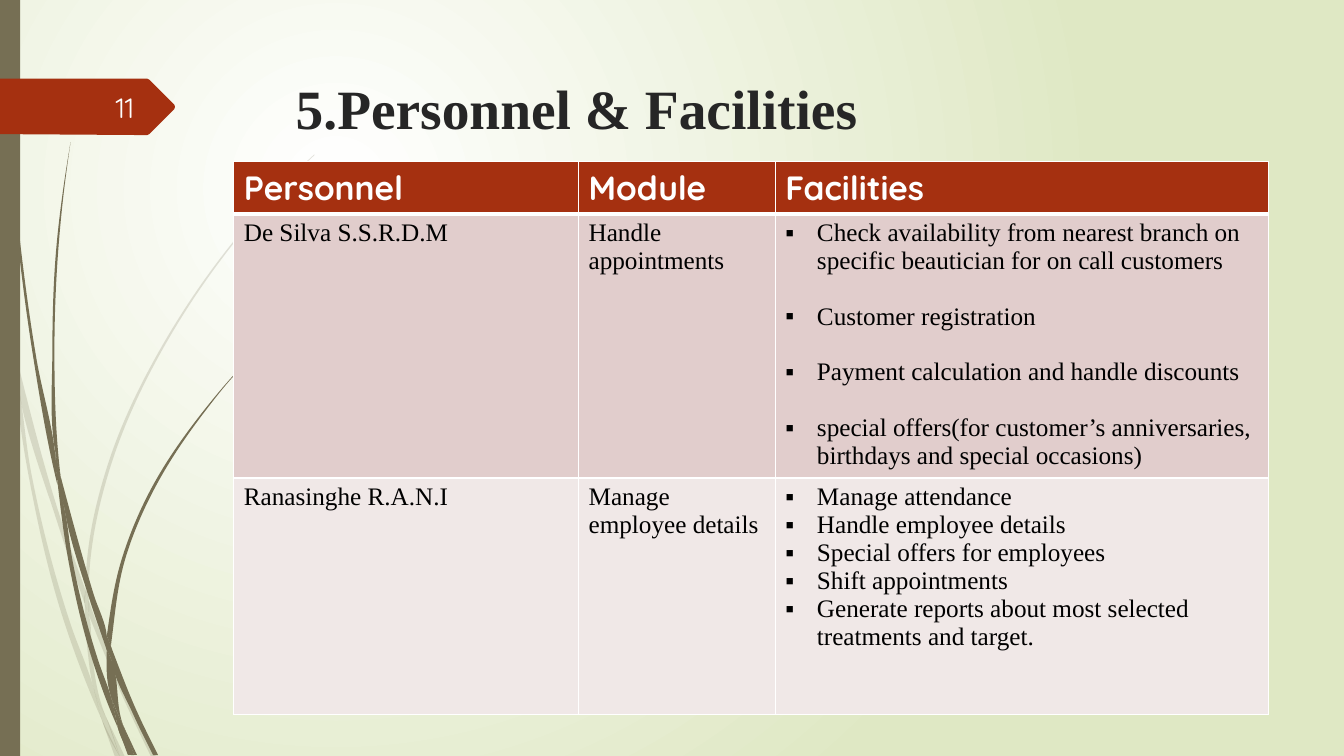
"""Build the "Personnel & Facilities" slide: a staff table beside grass blades."""
from dataclasses import dataclass

from lxml import etree
from pptx import Presentation
from pptx import util as u
from pptx.dml import color
from pptx.enum import shapes, text
from pptx.oxml import ns

SERIF, SANS = "Times New Roman", "Quicksand"
OLIVE, RUST, WHITE = "766F54", "A53010", "FFFFFF"
INDENT = 22.5
Point = tuple[float, float]


@dataclass
class Blade:
    """A grass blade between two edges, each running from top to bottom."""
    right: list[Point]
    left: list[Point]


@dataclass
class Row:
    """One table row with the look shared by its cells."""
    height: float
    fill: str
    person: str
    module: str
    facilities: list[str]
    gap: float = 0


PALE_BLADES = [
    Blade([(0, 203), (6.5, 231.8), (7.9, 252)], [(0, 215.3), (7.2, 247.7), (7.9, 252)]),
    Blade([(10.1, 248.4), (44.6, 374.4), (61.2, 421.9)],
          [(10.1, 248.4), (12.2, 270.7), (41.8, 375.8), (60.5, 431.3)]),
    Blade([(63.4, 429.1), (66.2, 437), (91.4, 498.2), (111.6, 540.7)],
          [(63.4, 439.2), (88.6, 499.7), (108, 540.7)]),
    Blade([(75.6, 511.9), (89.3, 540.7)], [(75.6, 511.9), (85.7, 540.7)]),
    Blade([(7.9, 252), (12.2, 270.7), (22.3, 337.7), (50.4, 445.7), (67, 491.8),
           (71.3, 509), (72.7, 514.1)],
          [(7.9, 252), (20.2, 338.4), (46.8, 447.1), (66.2, 499), (72.7, 514.1)]),
    Blade([(60.5, 431.3), (63.4, 439.2), (65.5, 465.1), (74.2, 508.3), (75.6, 511.9)],
          [(60.5, 431.3), (62.6, 465.1), (67, 491.8), (69.1, 498.2), (75.6, 511.9)]),
    Blade([(224.6, 110.9), (208.8, 126), (193, 142.6), (164.9, 176.4), (115.2, 251.3),
           (79.2, 332.6), (63.4, 420.5), (63.4, 429.1)],
          [(224.6, 110.2), (208.1, 126), (193, 141.8), (164.2, 175.7), (113.8, 250.6),
           (77, 331.9), (61.2, 420.5), (61.2, 421.9)]),
    Blade([(72.7, 514.1), (85.7, 540.7)], [(72.7, 514.1), (82.1, 540.7)]),
    Blade([(61.2, 421.9), (63.4, 429.1), (63.4, 439.2)],
          [(61.2, 421.9), (60.5, 431.3), (63.4, 437.8)]),
    Blade([(67, 491.8), (69.1, 498.2), (75.6, 511.9), (85.7, 540.7)],
          [(67, 491.8), (71.3, 509), (72.7, 514.1), (85.7, 540.7)]),
]
DARK_BLADES = [
    Blade([(2.9, 0), (3.6, 34.6), (5.8, 78.5), (13.7, 167), (25.9, 255.6),
           (39.6, 326.2), (41, 346.3)],
          [(2.2, 0), (2.9, 34.6), (5, 79.2), (12.2, 167.8), (23.8, 255.6),
           (40.3, 343.4), (41, 346.3)]),
    Blade([(43.2, 339.8), (67, 424.8), (76.3, 454.3), (76.3, 464.4)],
          [(43.2, 339.8), (46.1, 363.6), (63.4, 426.2), (76.3, 464.4)]),
    Blade([(79.2, 461.5), (81.4, 467.3), (97.9, 508.3), (113, 539.3)],
          [(79.2, 461.5), (79.9, 472.3), (95, 509.8), (109.4, 539.3)]),
    Blade([(41, 343.4), (46.1, 363.6), (51.8, 400.3), (70.6, 473), (79.2, 497.5),
           (83.5, 516.2), (84.2, 519.8)],
          [(41, 343.4), (49, 401), (67, 474.5), (79.9, 509.8), (84.2, 519.8)]),
    Blade([(50.4, 101.5), (45.4, 139), (41.8, 176.4), (38.9, 251.3), (41.8, 326.2),
           (43.2, 339.8)],
          [(50.4, 101.5), (44.6, 139), (40.3, 176.4), (37.4, 251.3), (39.6, 323.3),
           (43.2, 339.8)]),
    Blade([(87.8, 517.7), (97.9, 539.3)], [(87.8, 517.7), (95.8, 539.3)]),
    Blade([(39.6, 323.3), (43.2, 339.8), (46.1, 363.6)],
          [(39.6, 323.3), (39.6, 326.2), (41, 343.4), (46.1, 363.6)]),
    Blade([(187.9, 247.7), (176.4, 258.5), (166.3, 269.3), (147.6, 292.3),
           (113.8, 342.7), (90, 397.4), (79.9, 455.8), (79.2, 461.5)],
          [(187.2, 247.7), (176.4, 257.8), (166.3, 268.6), (146.9, 291.6),
           (112.3, 341.3), (87.8, 396.7), (76.3, 454.3)]),
    Blade([(84.2, 519.8), (94.3, 539.3)], [(84.2, 519.8), (91.4, 539.3)]),
    Blade([(76.3, 464.4), (78.5, 468.7), (79.9, 472.3), (87.1, 515.5), (87.8, 517.7)],
          [(76.3, 464.4), (79.2, 497.5), (83.5, 508.3), (87.8, 517.7)]),
    Blade([(76.3, 454.3), (79.2, 461.5), (79.9, 472.3)],
          [(76.3, 454.3), (76.3, 464.4), (78.5, 468.7), (79.9, 472.3)]),
    Blade([(79.2, 497.5), (83.5, 508.3), (87.8, 517.7), (95.8, 539.3)],
          [(79.2, 497.5), (83.5, 516.2), (84.2, 519.8), (93.6, 539.3)]),
]
RIBBON = [(124.6, 77.8), (106.6, 95.8), (105.1, 96.5), (0, 95.8), (0, 56.2),
          (105.1, 56.2), (106.6, 56.9), (124.6, 74.9), (125, 76.3)]
COLUMNS = [246.3, 140.6, 352.3]
ROWS = [
    Row(34, RUST, "Personnel", "Module", ["Facilities"]),
    Row(188.6, "E1CDCC", "De Silva S.S.R.D.M", "Handle appointments", [
        "Check availability from nearest branch on specific beautician for on call customers",
        "Customer registration",
        "Payment calculation and handle discounts",
        "special offers(for customer’s anniversaries, birthdays and special occasions)",
    ], gap=19.8),
    Row(168.8, "F0E8E7", "Ranasinghe R.A.N.I", "Manage employee details", [
        "Manage attendance", "Handle employee details", "Special offers for employees",
        "Shift appointments", "Generate reports about most selected treatments and target.",
    ]),
]


def rgb(code: str) -> color.RGBColor:
    return color.RGBColor.from_string(code)


def add_xml(parent, tag: str, **attributes):
    return etree.SubElement(parent, ns.qn(tag), attributes)


def paint(shape, fill: str, opacity: int = 100) -> None:
    shape.shadow.inherit = False
    shape.fill.solid()
    shape.fill.fore_color.rgb = rgb(fill)
    shape.line.fill.background()
    if opacity < 100:
        tone = shape.element.spPr.find(".//" + ns.qn("a:srgbClr"))
        add_xml(tone, "a:alpha", val=str(opacity * 1000))


def edge_slopes(edge: list[Point]) -> list[float]:
    spans = [(b[0] - a[0], b[1] - a[1]) for a, b in zip(edge, edge[1:])]
    chords = [dx / dy for dx, dy in spans]
    if len(chords) == 1:
        return chords * 2
    inner = [(chords[i] * spans[i + 1][1] + chords[i + 1] * spans[i][1])
             / (spans[i][1] + spans[i + 1][1]) for i in range(len(chords) - 1)]
    return [(3 * chords[0] - inner[0]) / 2, *inner, (3 * chords[-1] - inner[-1]) / 2]


def add_outline(slide, points: list[Point], fill: str, opacity: int = 100):
    vertices = [(u.Pt(x), u.Pt(y)) for x, y in points]
    builder = slide.shapes.build_freeform(*vertices[0])
    builder.add_line_segments(vertices[1:], close=True)
    shape = builder.convert_to_shape()
    paint(shape, fill, opacity)
    return shape


def add_blade(slide, blade: Blade, opacity: int) -> None:
    right, left = blade.right, blade.left[::-1]
    slopes = edge_slopes(blade.right) + edge_slopes(blade.left)[::-1]
    points = right + left
    shape = add_outline(slide, points, OLIVE, opacity)
    segments = shape.element.findall(".//" + ns.qn("a:lnTo"))
    for i, segment in enumerate(segments[:len(points) - 1]):
        (x0, y0), (x1, y1) = points[i], points[i + 1]
        if i == len(right) - 1:
            if points[i] == points[i + 1]:
                segment.getparent().remove(segment)
            continue
        third = (y1 - y0) / 3
        curve = etree.Element(ns.qn("a:cubicBezTo"))
        for x, y in ((x0 + slopes[i] * third, y0 + third),
                     (x1 - slopes[i + 1] * third, y1 - third), (x1, y1)):
            add_xml(curve, "a:pt", x=str(u.Pt(x) - shape.left), y=str(u.Pt(y) - shape.top))
        segment.getparent().replace(segment, curve)


def write(frame, lines: list[str], *, size: float, font: str, ink: str,
          bold: bool = False, align=text.PP_ALIGN.LEFT, gap: float = 0,
          bullet: str = "") -> None:
    frame.word_wrap = True
    for i, line in enumerate(lines):
        paragraph = frame.add_paragraph() if i else frame.paragraphs[0]
        paragraph.alignment = align
        paragraph.space_before = u.Pt(gap if i else 0)
        run = paragraph.add_run()
        run.text = line
        run.font.size, run.font.name, run.font.bold = u.Pt(size), font, bold
        run.font.color.rgb = rgb(ink)
        if bullet:
            properties = paragraph._p.get_or_add_pPr()
            properties.set("marL", str(u.Pt(INDENT)))
            properties.set("indent", str(-u.Pt(INDENT)))
            add_xml(properties, "a:buFont", typeface=font)
            add_xml(properties, "a:buChar", char=bullet)


def add_border(cell, side: str, width: float) -> None:
    properties = cell._tc.get_or_add_tcPr()
    line = etree.Element(ns.qn(f"a:ln{side}"), w=str(u.Pt(width)))
    add_xml(add_xml(line, "a:solidFill"), "a:srgbClr", val=WHITE)
    properties.insert(len(properties) - 1, line)


def add_staff_table(slide) -> None:
    frame = slide.shapes.add_table(len(ROWS), len(COLUMNS), u.Pt(167), u.Pt(115.6),
                                   u.Pt(sum(COLUMNS)), u.Pt(sum(r.height for r in ROWS)))
    table = frame.table
    table.horz_banding = False
    for column, width in zip(table.columns, COLUMNS):
        column.width = u.Pt(width)
    for i, row in enumerate(ROWS):
        table.rows[i].height = u.Pt(row.height)
        header = i == 0
        look = (dict(size=24, font=SANS, ink=WHITE, bold=True) if header
                else dict(size=18, font=SERIF, ink="000000"))
        for j, lines in enumerate(([row.person], [row.module], row.facilities)):
            cell = table.cell(i, j)
            cell.fill.solid()
            cell.fill.fore_color.rgb = rgb(row.fill)
            write(cell.text_frame, lines, gap=row.gap,
                  bullet="▪" if j == 2 and not header else "", **look)
            for side in "LRTB":
                add_border(cell, side, 3 if (side, i) in (("B", 0), ("T", 1)) else 1)


def set_background(slide) -> None:
    fill = slide.background.fill
    fill.gradient()
    for stop, position, code in zip(fill.gradient_stops, (0, 1), (WHITE, "DFE8C4")):
        stop.position, stop.color.rgb = position, rgb(code)
    gradient = slide.element.find(".//" + ns.qn("a:gradFill"))
    gradient.remove(gradient.find(ns.qn("a:lin")))
    circle = add_xml(gradient, "a:path", path="circle")
    add_xml(circle, "a:fillToRect", l="50000", t="50000", r="100000", b="100000")


def main() -> None:
    presentation = Presentation()
    presentation.slide_width, presentation.slide_height = u.Pt(960), u.Pt(540)
    slide = presentation.slides.add_slide(presentation.slide_layouts[5])
    set_background(slide)
    for blades, opacity in ((PALE_BLADES, 20), (DARK_BLADES, 100)):
        for blade in blades:
            add_blade(slide, blade, opacity)
    bar = slide.shapes.add_shape(shapes.MSO_SHAPE.RECTANGLE, 0, 0, u.Pt(14.4), u.Pt(540))
    paint(bar, OLIVE)
    add_outline(slide, RIBBON, RUST)
    title = slide.shapes.title
    title.left, title.top, title.width, title.height = map(u.Pt, (204, 49, 702, 50.4))
    title.text_frame.vertical_anchor = text.MSO_ANCHOR.TOP
    title.text_frame.auto_size = text.MSO_AUTO_SIZE.NONE
    write(title.text_frame, ["5.Personnel & Facilities"], size=39.6, font=SERIF,
          ink="262626", bold=True)
    add_staff_table(slide)
    number = slide.shapes.add_textbox(*map(u.Pt, (41.8, 61.9, 61.2, 28.8))).text_frame
    number.vertical_anchor = text.MSO_ANCHOR.MIDDLE
    write(number, ["11"], size=20, font=SANS, ink="FEFFFF", align=text.PP_ALIGN.RIGHT)
    presentation.save("out.pptx")


if __name__ == "__main__":
    main()
